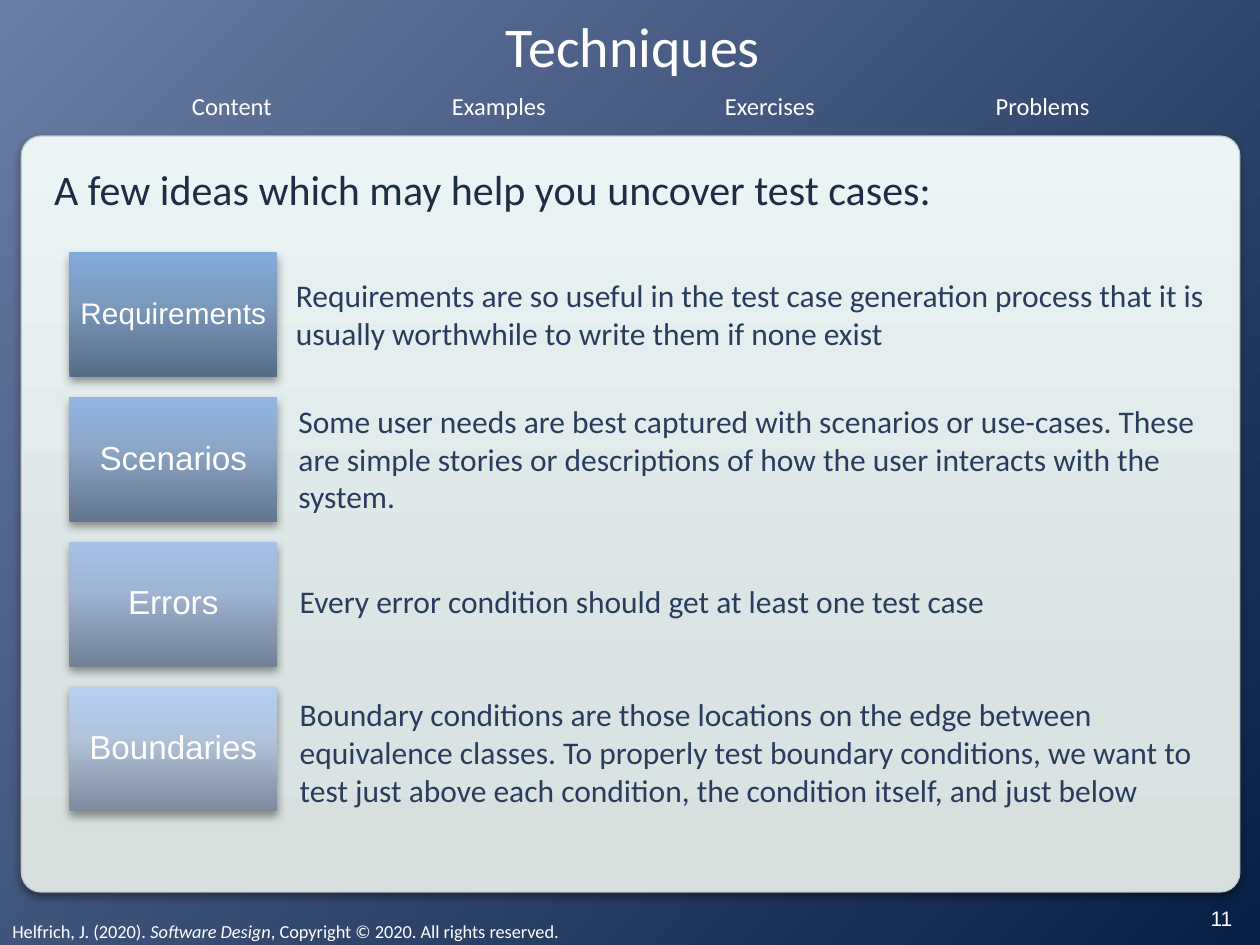
"""Build the Techniques slide: four labelled ideas for uncovering test cases."""
from dataclasses import dataclass

from pptx import Presentation
from pptx.dml.color import RGBColor
from pptx.enum.shapes import MSO_SHAPE
from pptx.enum.text import MSO_ANCHOR, MSO_AUTO_SIZE, PP_ALIGN
from pptx.oxml import parse_xml
from pptx.oxml.ns import nsdecls, qn
from pptx.util import Inches, Pt

WHITE = RGBColor(0xFF, 0xFF, 0xFF)
HEADING = RGBColor(0x1D, 0x2D, 0x46)
BODY = RGBColor(0x28, 0x3D, 0x5E)
PANEL_EDGE = RGBColor(0xC1, 0xC9, 0xC9)
PANEL_LOW = RGBColor(0xD7, 0xDF, 0xDF)
PANEL_MIDDLE = RGBColor(0xDA, 0xE3, 0xE3)
PANEL_HIGH = RGBColor(0xEB, 0xF4, 0xF4)
BACKGROUND_LIGHT = RGBColor(0x6A, 0x7D, 0xA4)
BACKGROUND_DARK = RGBColor(0x07, 0x1F, 0x45)

FIRST_ROW_TOP = 2.0
ROW_PITCH = 1.15


@dataclass(frozen=True)
class Tab:
    label: str
    left: float
    width: float


@dataclass(frozen=True)
class Technique:
    label: str
    label_size: int
    colors: tuple[RGBColor, RGBColor, RGBColor]
    description: str
    left: float
    top: float
    height: float


TABS = (
    Tab("Content", 1.42, 0.84),
    Tab("Examples", 3.48, 0.96),
    Tab("Exercises", 5.65, 0.92),
    Tab("Problems", 7.8, 0.95),
)

TECHNIQUES = (
    Technique(
        "Requirements", 17,
        (RGBColor(0x56, 0x6D, 0x87), RGBColor(0x7B, 0x9A, 0xBD), RGBColor(0x84, 0xAC, 0xDC)),
        "Requirements are so useful in the test case generation process that it is "
        "usually worthwhile to write them if none exist",
        2.25, 2.14, 0.71,
    ),
    Technique(
        "Scenarios", 19,
        (RGBColor(0x63, 0x75, 0x8E), RGBColor(0x8C, 0xA7, 0xC8), RGBColor(0x92, 0xB5, 0xE4)),
        "Some user needs are best captured with scenarios or use-cases. These are simple "
        "stories or descriptions of how the user interacts with the system.",
        2.27, 3.14, 1.01,
    ),
    Technique(
        "Errors", 19,
        (RGBColor(0x70, 0x81, 0x95), RGBColor(0x9F, 0xB4, 0xD2), RGBColor(0xA3, 0xC1, 0xEB)),
        "Every error condition should get at least one test case",
        2.28, 4.57, 0.4,
    ),
    Technique(
        "Boundaries", 19,
        (RGBColor(0x7E, 0x8A, 0x9D), RGBColor(0xB2, 0xC4, 0xDC), RGBColor(0xB6, 0xCF, 0xF1)),
        "Boundary conditions are those locations on the edge between equivalence classes. "
        "To properly test boundary conditions, we want to test just above each condition, "
        "the condition itself, and just below",
        2.28, 5.47, 1.01,
    ),
)


def set_gradient(owner, stops: list[tuple[int, RGBColor]], angle: int) -> None:
    """Fill a shape, or the background of a slide, with a linear gradient."""
    fill = owner.fill if hasattr(owner, "fill") else owner.background.fill
    fill.solid()
    solid = next(owner.element.iter(qn("a:solidFill")))
    stop_xml = "".join(
        f'<a:gs pos="{position * 1000}"><a:srgbClr val="{color}"/></a:gs>'
        for position, color in stops
    )
    gradient = parse_xml(
        f'<a:gradFill {nsdecls("a")} rotWithShape="1"><a:gsLst>{stop_xml}</a:gsLst>'
        f'<a:lin ang="{angle * 60000}" scaled="0"/></a:gradFill>'
    )
    solid.getparent().replace(solid, gradient)


def set_shadow(shape) -> None:
    """Cast a soft shadow straight down."""
    shape.shadow.inherit = False
    effects = shape.element.spPr.find(qn("a:effectLst"))
    effects.append(parse_xml(
        f'<a:outerShdw {nsdecls("a")} blurRad="{Pt(5.2)}" dist="{Pt(3)}" dir="5400000" '
        'rotWithShape="0"><a:srgbClr val="000000"><a:alpha val="40000"/></a:srgbClr>'
        '</a:outerShdw>'
    ))


def place(shape, left: float, top: float, width: float, height: float) -> None:
    """Move and size a shape, in inches."""
    shape.left, shape.top = Inches(left), Inches(top)
    shape.width, shape.height = Inches(width), Inches(height)


def set_font(paragraph, size: float, color: RGBColor, name: str = "Calibri") -> None:
    """Give a whole paragraph one font."""
    paragraph.font.name = name
    paragraph.font.size = Pt(size)
    paragraph.font.color.rgb = color


def add_text(slide, text: str, left: float, top: float, width: float, height: float,
             size: float, color: RGBColor, name: str = "Calibri",
             align: PP_ALIGN = PP_ALIGN.LEFT, wrap: bool = True):
    """Add a one-paragraph text box."""
    box = slide.shapes.add_textbox(Inches(left), Inches(top), Inches(width), Inches(height))
    box.text_frame.word_wrap = wrap
    paragraph = box.text_frame.paragraphs[0]
    paragraph.text = text
    paragraph.alignment = align
    set_font(paragraph, size, color, name)
    return box


def add_panel(slide) -> None:
    """Add the pale rounded panel behind the content."""
    panel = slide.shapes.add_shape(
        MSO_SHAPE.ROUNDED_RECTANGLE, Inches(0.17), Inches(1.08), Inches(9.67), Inches(6))
    panel.adjustments[0] = 0.026
    set_gradient(panel, [(0, PANEL_LOW), (25, PANEL_MIDDLE), (100, PANEL_HIGH)], 270)
    panel.line.color.rgb = PANEL_EDGE
    panel.line.width = Pt(0.75)
    set_shadow(panel)
    slide.shapes.title.element.addprevious(panel.element)


def add_headings(slide) -> None:
    """Fill the title and body placeholders."""
    title, body = slide.shapes.title, slide.placeholders[1]
    place(title, 0.22, 0.11, 9.61, 0.5)
    place(body, 0.33, 1.25, 9.33, 0.58)
    title.text_frame.text = "Techniques"
    body.text_frame.text = "A few ideas which may help you uncover test cases:"
    for placeholder in (title, body):
        placeholder.text_frame.auto_size = MSO_AUTO_SIZE.NONE
    frame = title.text_frame
    frame.margin_left = frame.margin_right = frame.margin_top = frame.margin_bottom = 0
    frame.vertical_anchor = MSO_ANCHOR.MIDDLE
    frame.paragraphs[0].alignment = PP_ALIGN.CENTER
    set_font(frame.paragraphs[0], 32, WHITE)
    paragraph = body.text_frame.paragraphs[0]
    properties = paragraph._p.get_or_add_pPr()
    properties.set("marL", "0")
    properties.set("indent", "0")
    properties.append(parse_xml(f'<a:buNone {nsdecls("a")}/>'))
    paragraph.space_before = Pt(0)
    set_font(paragraph, 24, HEADING)


def add_technique(slide, technique: Technique, row: int) -> None:
    """Add a label tile and its description."""
    tile = slide.shapes.add_shape(
        MSO_SHAPE.RECTANGLE, Inches(0.55), Inches(FIRST_ROW_TOP + row * ROW_PITCH),
        Inches(1.65), Inches(0.99))
    set_gradient(tile, list(zip((0, 60, 100), technique.colors)), 270)
    tile.line.fill.background()
    set_shadow(tile)
    frame = tile.text_frame
    frame.word_wrap = True
    frame.vertical_anchor = MSO_ANCHOR.MIDDLE
    frame.margin_left = frame.margin_right = Inches(0.08)
    frame.margin_top = frame.margin_bottom = Inches(0.08)
    paragraph = frame.paragraphs[0]
    paragraph.text = technique.label
    paragraph.alignment = PP_ALIGN.CENTER
    paragraph.line_spacing = 0.9
    set_font(paragraph, technique.label_size, WHITE, "Arial")
    add_text(slide, technique.description, technique.left, technique.top, 7.42,
             technique.height, 18, BODY)


def main() -> None:
    """Assemble and save the slide."""
    presentation = Presentation()
    presentation.slide_width, presentation.slide_height = Inches(10), Inches(7.5)
    slide = presentation.slides.add_slide(presentation.slide_layouts[1])
    set_gradient(slide, [(0, BACKGROUND_LIGHT), (100, BACKGROUND_DARK)], 45)
    add_panel(slide)
    add_headings(slide)
    for tab in TABS:
        add_text(slide, tab.label, tab.left, 0.67, tab.width, 0.34, 14, WHITE,
                 align=PP_ALIGN.CENTER, wrap=False)
    for row, technique in enumerate(TECHNIQUES):
        add_technique(slide, technique, row)
    credit = add_text(slide, "Helfrich, J. (2020). ", 0, 7.25, 9, 0.29, 10.5, WHITE)
    paragraph = credit.text_frame.paragraphs[0]
    book = paragraph.add_run()
    book.text = "Software Design"
    book.font.italic = True
    paragraph.add_run().text = ", Copyright © 2020. All rights reserved."
    number = add_text(slide, "11", 9.36, 7.08, 0.67, 0.42, 12, WHITE, "Arial", PP_ALIGN.CENTER)
    number.text_frame.vertical_anchor = MSO_ANCHOR.MIDDLE
    presentation.save("out.pptx")


if __name__ == "__main__":
    main()
